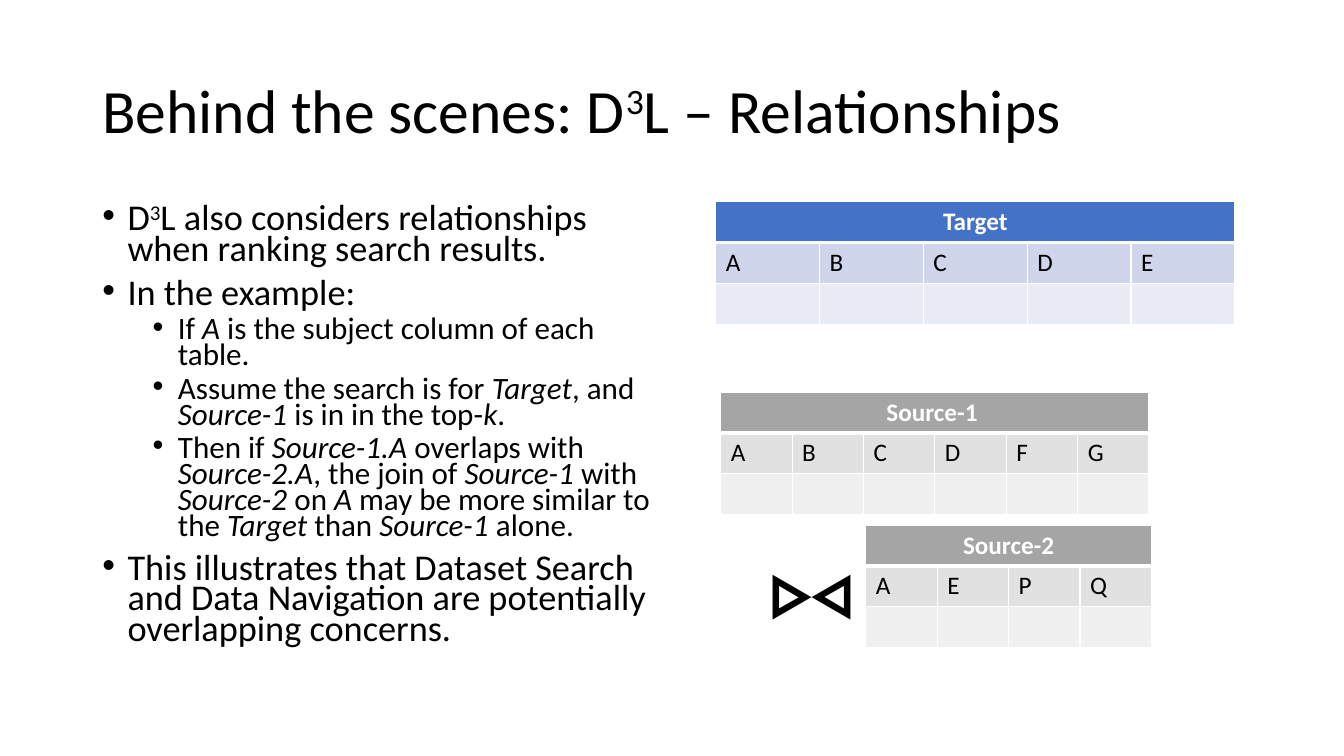
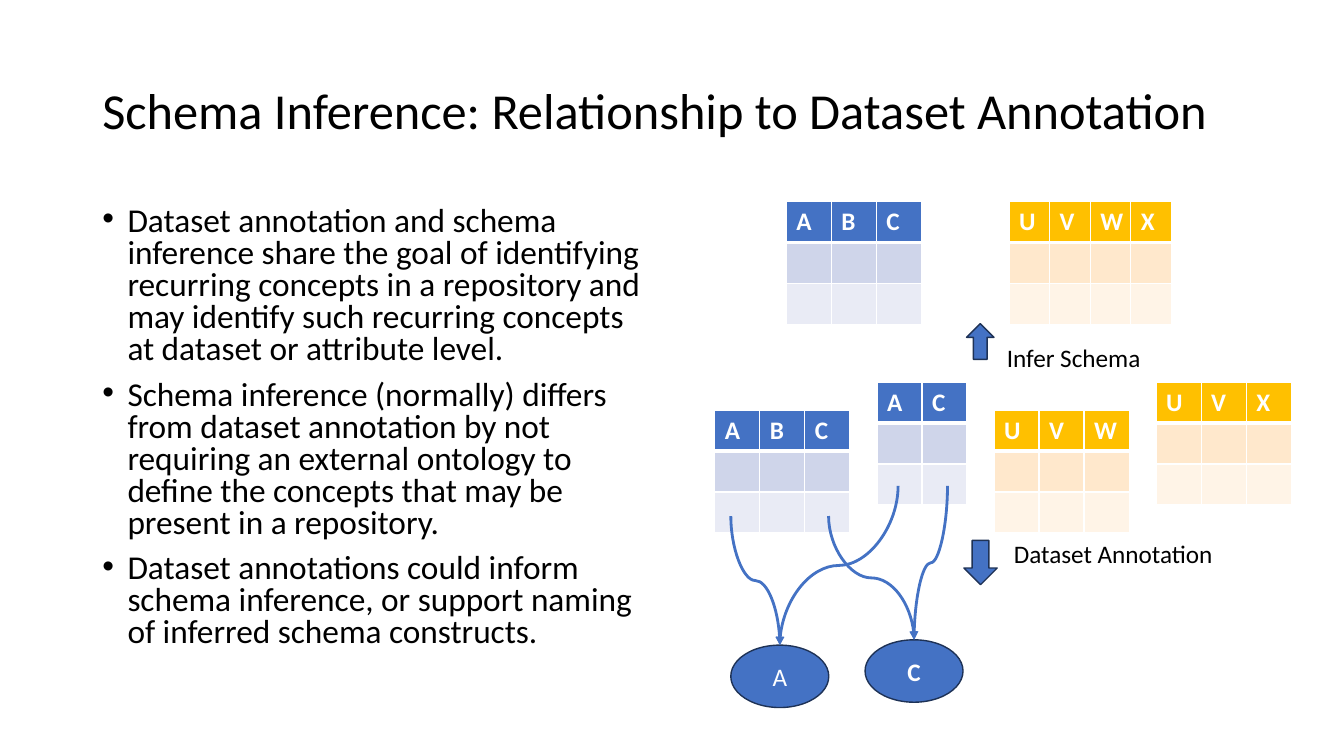
"""Build two slides on dataset relationships and schema inference."""
import dataclasses

import lxml.etree
import pptx
import pptx.dml.color
import pptx.enum.shapes
import pptx.enum.text
import pptx.oxml.ns
import pptx.shapes.autoshape
import pptx.slide
import pptx.text.text
import pptx.util

Pt = pptx.util.Pt
qn = pptx.oxml.ns.qn
Kind = pptx.enum.shapes.MSO_SHAPE
Align = pptx.enum.text.PP_ALIGN
Anchor = pptx.enum.text.MSO_ANCHOR


@dataclasses.dataclass(frozen=True)
class Hue:
    head: str
    band: str
    pale: str


@dataclasses.dataclass(frozen=True)
class Theme:
    font: str = "Calibri"
    ink: str = "000000"
    white: str = "FFFFFF"
    edge: str = "1E3256"
    blue: Hue = Hue("4472C4", "CFD5EA", "E9EBF5")
    gray: Hue = Hue("A5A5A5", "E1E1E1", "F0F0F0")
    gold: Hue = Hue("FFC000", "FFE8CC", "FFF4E7")
    small: float = 18
    large: float = 96
    row: float = 29.2


THEME = Theme()


@dataclasses.dataclass(frozen=True)
class Box:
    left: float
    top: float
    wide: float
    high: float

    def args(self) -> list[int]:
        return [Pt(side) for side in dataclasses.astuple(self)]


@dataclasses.dataclass(frozen=True)
class Grid:
    left: float
    top: float
    step: float
    names: str
    hue: Hue
    title: str = ""


@dataclasses.dataclass(frozen=True)
class Point:
    text: str
    size: float
    level: int = 0


@dataclasses.dataclass(frozen=True)
class Mark:
    kind: Kind
    box: Box
    text: str = ""
    bold: bool = False


TITLE = Box(66, 28.8, 828, 104.4)
BODY = Box(66, 144, 408, 342.7)

JOIN = [
    Point("D^3^L also considers relationships when ranking search results.", 25.9),
    Point("In the example:", 25.9),
    Point("If _A _is the subject column of each table.", 22.2, 1),
    Point("Assume the search is for _Target_, and _Source-1_ is in in the top-_k_.", 22.2, 1),
    Point("Then if _Source-1.A_ overlaps with _Source-2.A_, the join of _Source-1_ with "
          "_Source-2_ on _A_ may be more similar to the _Target_ than _Source-1_ alone.", 22.2, 1),
    Point("This illustrates that Dataset Search and Data Navigation are potentially "
          "overlapping concerns.", 25.9),
]
INFER = [
    Point("Dataset annotation and schema inference share the goal of identifying recurring "
          "concepts in a repository and may identify such recurring concepts at dataset or "
          "attribute level.", 23.8),
    Point("Schema inference (normally) differs from dataset annotation by not requiring an "
          "external ontology to define the concepts that may be present in a repository.", 23.8),
    Point("Dataset annotations could inform schema inference, or support naming of inferred "
          "schema constructs.", 23.8),
]
SOURCES = [
    Grid(511.2, 144, 74.2, "ABCDE", THEME.blue, "Target"),
    Grid(514.8, 280, 51, "ABCDFG", THEME.gray, "Source-1 "),
    Grid(618.5, 375, 51, "AEPQ", THEME.gray, "Source-2"),
]
SCHEMAS = [
    Grid(510.5, 293, 32.2, "ABC", THEME.blue),
    Grid(626.4, 273, 32.2, "AC", THEME.blue),
    Grid(825.8, 273, 32.2, "UVX", THEME.gold),
    Grid(710, 293, 32.2, "UVW", THEME.gold),
    Grid(561.6, 144, 32.2, "ABC", THEME.blue),
    Grid(720.7, 144, 29, "UVWX", THEME.gold),
]
NODES = [
    Mark(Kind.OVAL, Box(522, 460.8, 70, 44.6), "A"),
    Mark(Kind.OVAL, Box(617.9, 457, 70, 44.6), "C", True),
]
ARROWS = [
    Mark(Kind.UP_ARROW, Box(690.4, 231.2, 19.6, 25.5)),
    Mark(Kind.DOWN_ARROW, Box(688.5, 386, 23.8, 31.7)),
]
LINKS = [(522, 368.6, 0), (641.5, 347, 0), (591.8, 368.6, 1), (676.8, 347, 1)]
LABELS = {
    "Infer Schema": Box(712.1, 241.2, 110.9, 29),
    "Dataset Annotation": Box(717.1, 381, 158.4, 29),
}


def rgb(code: str) -> pptx.dml.color.RGBColor:
    return pptx.dml.color.RGBColor.from_string(code)


def write(para: pptx.text.text._Paragraph, text: str, *, size: float = THEME.small,
          color: str = THEME.ink, bold: bool = False, align: Align | None = None,
          lines: float | None = None, before: float = 0) -> None:
    para.alignment = align
    para.line_spacing = lines
    para.space_before = Pt(before)
    for slant, part in enumerate(text.split("_")):
        for lift, piece in enumerate(part.split("^")):
            if not piece:
                continue
            run = para.add_run()
            run.text = piece
            font = run.font
            font.name, font.size, font.bold = THEME.font, Pt(size), bold
            font.italic = slant % 2 == 1
            font.color.rgb = rgb(color)
            if lift % 2:
                run.font._element.set("baseline", "30000")


def frame(slide: pptx.slide.Slide, box: Box, wrap: bool = True) -> pptx.text.text.TextFrame:
    area = slide.shapes.add_textbox(*box.args()).text_frame
    area.word_wrap = wrap
    return area


def bullet(para: pptx.text.text._Paragraph, level: int) -> None:
    para.level = level
    props = para._p.get_or_add_pPr()
    props.set("marL", str(Pt(18 + 36 * level)))
    props.set("indent", str(Pt(-18)))
    lxml.etree.SubElement(props, qn("a:buFont")).set("typeface", "Arial")
    lxml.etree.SubElement(props, qn("a:buChar")).set("char", "•")


def page(deck: pptx.presentation.Presentation, title: str, size: float,
         points: list[Point], lines: float) -> pptx.slide.Slide:
    slide = deck.slides.add_slide(deck.slide_layouts[6])
    head = frame(slide, TITLE)
    head.vertical_anchor = Anchor.MIDDLE
    write(head.paragraphs[0], title, size=size, lines=0.9)
    body = frame(slide, BODY)
    for rank, point in enumerate(points):
        para = body.add_paragraph() if rank else body.paragraphs[0]
        bullet(para, point.level)
        gap = (5 if point.level else 10) if rank else 0
        write(para, point.text, size=point.size, lines=lines, before=gap)
    return slide


def border(cell: pptx.table._Cell, row: int) -> None:
    props = cell._tc.get_or_add_tcPr()
    thick = {0: "B", 1: "T"}.get(row)
    for place, side in enumerate("LRTB"):
        line = lxml.etree.Element(qn(f"a:ln{side}"), w=str(Pt(3 if side == thick else 1)))
        fill = lxml.etree.SubElement(line, qn("a:solidFill"))
        lxml.etree.SubElement(fill, qn("a:srgbClr")).set("val", THEME.white)
        props.insert(place, line)


def table(slide: pptx.slide.Slide, grid: Grid) -> None:
    count = len(grid.names)
    box = Box(grid.left, grid.top, grid.step * count, THEME.row * 3)
    chart = slide.shapes.add_table(3, count, *box.args()).table
    chart.first_row = chart.horz_banding = False
    for col in chart.columns:
        col.width = Pt(grid.step)
    hues = (grid.hue.head, grid.hue.band, grid.hue.pale)
    for row, hue in enumerate(hues):
        chart.rows[row].height = Pt(THEME.row)
        for col in range(count):
            cell = chart.cell(row, col)
            cell.fill.solid()
            cell.fill.fore_color.rgb = rgb(hue)
            border(cell, row)
    names = 0
    if grid.title:
        chart.cell(0, 0).merge(chart.cell(0, count - 1))
        write(chart.cell(0, 0).text_frame.paragraphs[0], grid.title,
              color=THEME.white, bold=True, align=Align.CENTER)
        names = 1
    for col, name in enumerate(grid.names):
        write(chart.cell(names, col).text_frame.paragraphs[0], name,
              color=THEME.ink if names else THEME.white, bold=not names)


def draw(slide: pptx.slide.Slide, mark: Mark) -> None:
    shape = slide.shapes.add_shape(mark.kind, *mark.box.args())
    shape.shadow.inherit = False
    shape.fill.solid()
    shape.fill.fore_color.rgb = rgb(THEME.blue.head)
    shape.line.color.rgb = rgb(THEME.edge)
    shape.line.width = Pt(1)
    if mark.text:
        shape.text_frame.vertical_anchor = Anchor.MIDDLE
        write(shape.text_frame.paragraphs[0], mark.text, color=THEME.white,
              bold=mark.bold, align=Align.CENTER)


def curve(slide: pptx.slide.Slide, left: float, top: float, node: Box) -> None:
    end = node.left + node.wide / 2
    mid, half = (left + end) / 2, (top + node.top) / 2
    reach, drift = (node.top - top) / 2, abs(end - left) / 2
    turn = 1 if end > left else -1
    link = slide.shapes.add_connector(
        pptx.enum.shapes.MSO_CONNECTOR.CURVE,
        Pt(mid + turn * reach), Pt(half - drift), Pt(mid - turn * reach), Pt(half + drift))
    link.line.color.rgb = rgb(THEME.blue.head)
    link.line.width = Pt(2)
    props = link._element.spPr
    props.find(qn("a:xfrm")).set("rot", str((270 if turn > 0 else 90) * 60000))
    lxml.etree.SubElement(props.find(qn("a:ln")), qn("a:tailEnd")).set("type", "triangle")
    lxml.etree.SubElement(props, qn("a:effectLst"))


def main() -> None:
    deck = pptx.Presentation()
    deck.slide_width, deck.slide_height = Pt(960), Pt(540)

    slide = page(deck, "Behind the scenes: D^3^L – Relationships", 44, JOIN, 0.7)
    for grid in SOURCES:
        table(slide, grid)
    sign = frame(slide, Box(535, 355, 63.4, 123.8))
    write(sign.paragraphs[0], "⑅", size=THEME.large)

    slide = page(deck, "Schema Inference: Relationship to Dataset Annotation", 36, INFER, 0.8)
    for grid in SCHEMAS:
        table(slide, grid)
    for mark in NODES + ARROWS:
        draw(slide, mark)
    for left, top, node in LINKS:
        curve(slide, left, top, NODES[node].box)
    for text, box in LABELS.items():
        write(frame(slide, box, wrap=False).paragraphs[0], text)

    deck.save("out.pptx")


if __name__ == "__main__":
    main()
